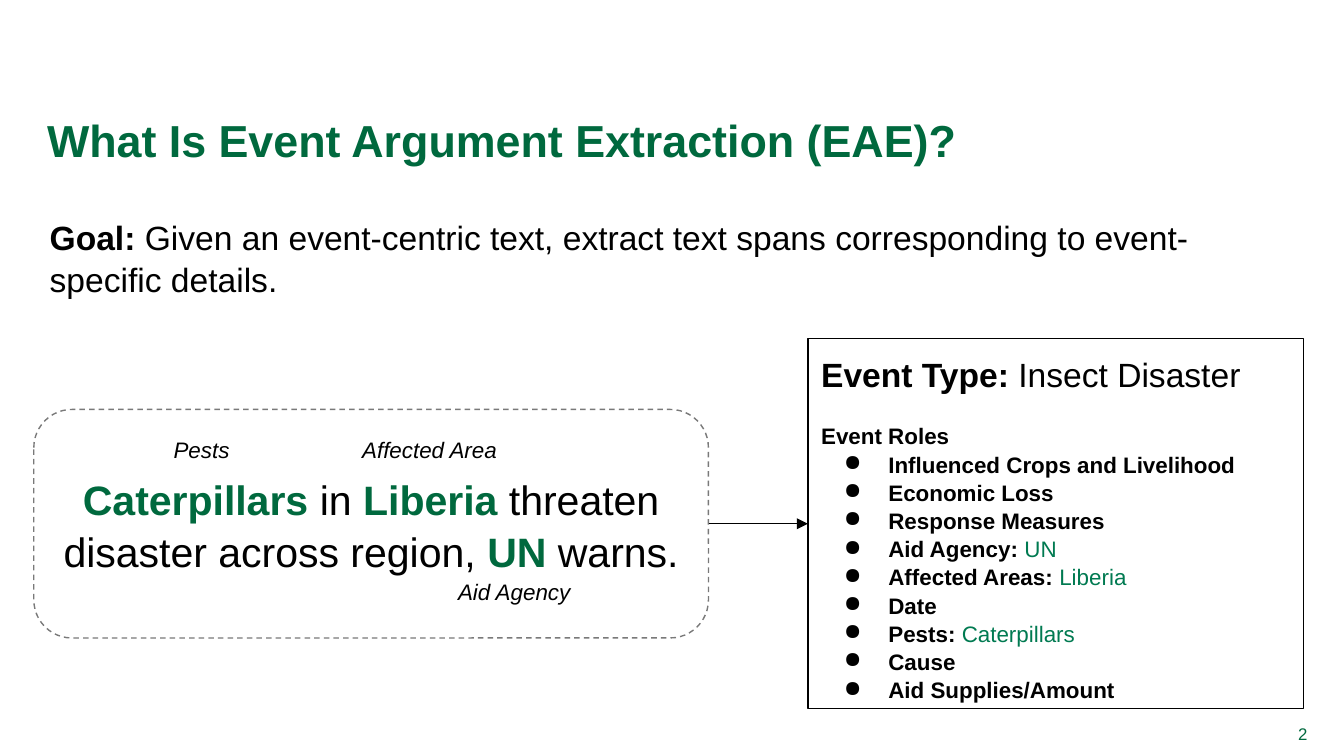
from lxml.etree import SubElement
from pptx import Presentation
from pptx.dml.color import RGBColor
from pptx.enum.dml import MSO_LINE_DASH_STYLE as Dash
from pptx.enum.shapes import MSO_CONNECTOR as Connector, MSO_SHAPE as Shape
from pptx.enum.text import MSO_ANCHOR as Anchor, PP_ALIGN as Align
from pptx.oxml.ns import qn
from pptx.util import Cm, Pt

GREEN, ROLE_GREEN, BLACK, GRAY, WHITE = "00693E", "007A51", "000000", "797979", "FFFFFF"
BOLD = {"bold": True}
KEY = {"bold": True, "color": GREEN}
FILLED = {"color": ROLE_GREEN}
ITALIC = {"italic": True}

TITLE = [("What Is Event Argument Extraction (EAE)?", KEY)]
GOAL = [
    ("Goal:", BOLD),
    (" Given an event-centric text, extract text spans corresponding to event-specific details.", {}),
]
SENTENCE = [
    ("Caterpillars", KEY),
    (" in ", {}),
    ("Liberia", KEY),
    (" threaten disaster across region, ", {}),
    ("UN ", KEY),
    ("warns.", {}),
]
LABELS = [
    ("Pests", (2.77, 7.95, 2.08, 1.09)),
    ("Affected Area", (6.38, 7.95, 3.48, 1.09)),
    ("Aid Agency", (7.98, 10.62, 3.48, 1.09)),
]
EVENT_TYPE = [("Event Type:", BOLD), (" Insect Disaster", {})]
ROLES = [
    ("Influenced Crops and Livelihood", ""),
    ("Economic Loss", ""),
    ("Response Measures", ""),
    ("Aid Agency: ", "UN"),
    ("Affected Areas: ", "Liberia"),
    ("Date", ""),
    ("Pests: ", "Caterpillars"),
    ("Cause", ""),
    ("Aid Supplies/Amount", ""),
]


def rgb(value):
    return RGBColor.from_string(value)


def set_all(target, values):
    for name, value in values.items():
        setattr(target, name, value)


def add_bullet(paragraph):
    properties = paragraph._p.get_or_add_pPr()
    properties.set("marL", str(Cm(1.27)))
    properties.set("indent", str(-Cm(0.84)))
    color = SubElement(properties, qn("a:buClr"))
    SubElement(color, qn("a:srgbClr"), val=BLACK)
    SubElement(properties, qn("a:buChar"), char="●")


def write(paragraph, runs, size, **layout):
    set_all(paragraph, {"line_spacing": 1.05, "alignment": Align.LEFT, **layout})
    for text, style in runs:
        run = paragraph.add_run()
        run.text = text
        values = {"name": "Arial", "size": Pt(size), "bold": False, **style}
        run.font.color.rgb = rgb(values.pop("color", BLACK))
        set_all(run.font, values)


def set_frame(shape, anchor=Anchor.TOP, margin=0.25):
    frame = shape.text_frame
    sides = ("margin_left", "margin_top", "margin_right", "margin_bottom")
    set_all(frame, {"word_wrap": True, "vertical_anchor": anchor, **dict.fromkeys(sides, Cm(margin))})
    return frame


def add_text(box, runs, size, alignment=Align.LEFT, **frame_format):
    shape = slide.shapes.add_textbox(*map(Cm, box))
    frame = set_frame(shape, **frame_format)
    write(frame.paragraphs[0], runs, size, alignment=alignment)


def add_box(kind, box, line_color):
    shape = slide.shapes.add_shape(kind, *map(Cm, box))
    shape.shadow.inherit = False
    shape.line.color.rgb = rgb(line_color)
    shape.line.width = Pt(0.75)
    return shape


presentation = Presentation()
set_all(presentation, {"slide_width": Cm(25.4), "slide_height": Cm(14.29)})
slide = presentation.slides.add_slide(presentation.slide_layouts[6])

add_text((0.64, 1.83, 24.08, 1.93), TITLE, 24)

sentence_box = add_box(Shape.ROUNDED_RECTANGLE, (0.64, 7.74, 12.75, 4.32), GRAY)
sentence_box.adjustments[0] = 0.167
sentence_box.fill.solid()
sentence_box.fill.fore_color.rgb = rgb(WHITE)
sentence_box.line.dash_style = Dash.DASH
sentence_frame = set_frame(sentence_box, Anchor.MIDDLE)
write(sentence_frame.paragraphs[0], SENTENCE, 22, alignment=Align.CENTER)

for label, box in LABELS:
    add_text(box, [(label, ITALIC)], 12, Align.CENTER, anchor=Anchor.MIDDLE)

event_box = add_box(Shape.RECTANGLE, (15.27, 6.4, 9.37, 7), BLACK)
event_box.fill.background()
event_frame = set_frame(event_box)
write(event_frame.paragraphs[0], EVENT_TYPE, 18)
write(event_frame.add_paragraph(), [("Event Roles", BOLD)], 12, space_before=Pt(14.5))
for role, argument in ROLES:
    paragraph = event_frame.add_paragraph()
    runs = [(role, BOLD)] + ([(argument, FILLED)] if argument else [])
    add_bullet(paragraph)
    write(paragraph, runs, 12)

arrow = slide.shapes.add_connector(Connector.STRAIGHT, 0, 0, 0, 0)
arrow.begin_connect(sentence_box, 3)
arrow.end_connect(event_box, 1)
arrow.line.color.rgb = rgb(BLACK)
arrow.line.width = Pt(0.75)
SubElement(arrow.line._get_or_add_ln(), qn("a:tailEnd"), type="triangle")
SubElement(arrow._element.spPr, qn("a:effectLst"))

add_text((0.69, 3.81, 23.93, 1.73), GOAL, 18)
add_text((23.62, 13.64, 1.09, 0.46), [("2", {"color": GREEN})], 9, Align.RIGHT, anchor=Anchor.MIDDLE, margin=0)

presentation.save("out.pptx")
